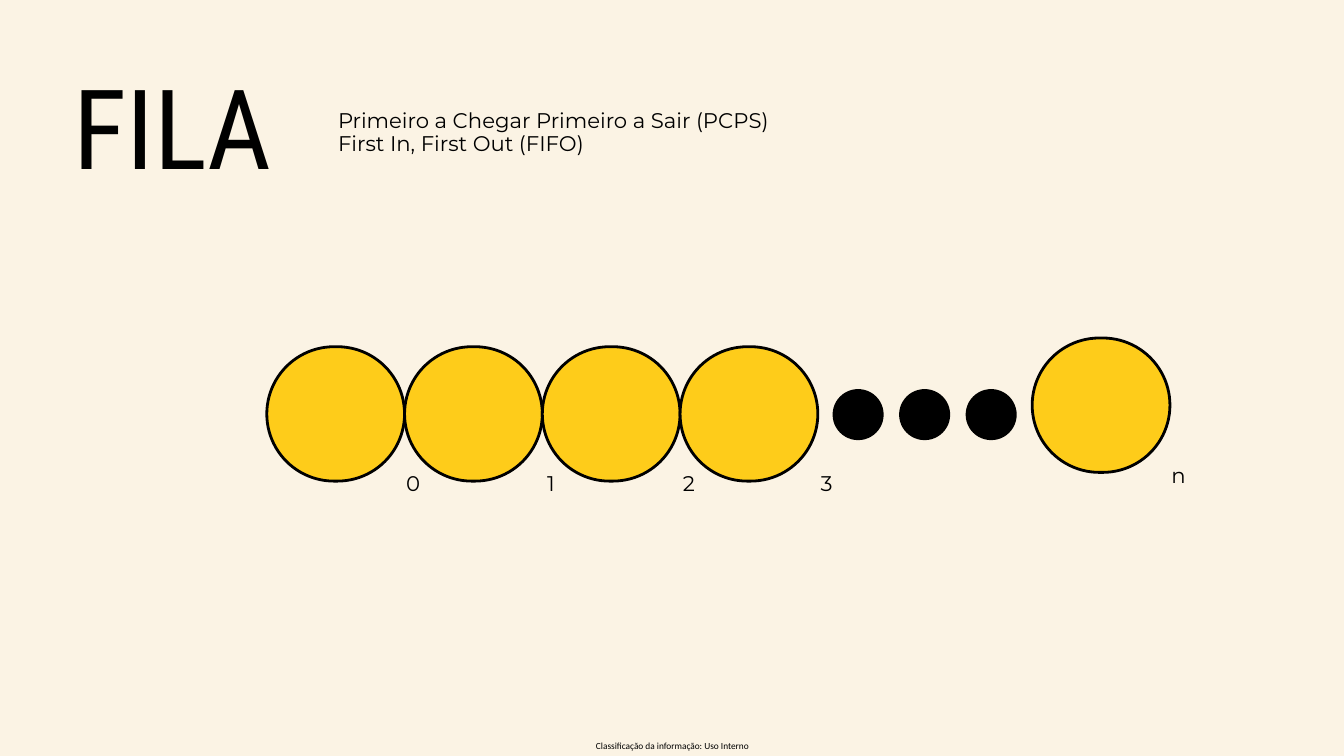
from pptx import Presentation
from pptx.dml.color import RGBColor
from pptx.enum.shapes import MSO_SHAPE
from pptx.enum.text import MSO_ANCHOR, MSO_AUTO_SIZE, PP_ALIGN
from pptx.util import Inches, Pt

# Content
TITLE = "FILA"
DEFINITIONS = ["Primeiro a Chegar Primeiro a Sair (PCPS)", "First In, First Out (FIFO)"]
FIRST_NODES = ["0", "1", "2", "3"]
LAST_NODE = "n"
DOT_COUNT = 3
FOOTER = "Classificação da informação: Uso Interno"

# Theme
BLACK = RGBColor(0, 0, 0)
THEME = {
    "background": RGBColor(0xFB, 0xF3, 0xE4),
    "node": RGBColor(0xFE, 0xCC, 0x1A),
    "outline": Pt(3),
    "title": {"name": "Roboto Condensed", "size": Pt(118.8), "bold": False},
    "body": {"name": "Montserrat", "size": Pt(22.7)},
    "footer": {"name": "Calibri", "size": Pt(10)},
}
BODY_SPACING = Pt(34.1)

# Layout in inches
NODE_LEFT, NODE_TOP, NODE_WIDTH, NODE_HEIGHT = 3.97, 5.16, 2.05, 2
LAST_LEFT, LAST_TOP = 15.36, 5.03
LABEL_WIDTH, LABEL_HEIGHT, LABEL_RISE = 4.36, 4.77, 0.4
DOT_LEFT, DOT_TOP, DOT_SIZE, DOT_PITCH = 12.39, 5.79, 0.76, 0.99
DEFINITION_TOP, DEFINITION_PITCH = 1.5, 0.35


def write(box, text, style, align=PP_ALIGN.LEFT, spacing=None,
          anchor=MSO_ANCHOR.TOP, margin=0.0, fit=MSO_AUTO_SIZE.SHAPE_TO_FIT_TEXT):
    frame = box.text_frame
    frame_format = {"word_wrap": True, "auto_size": fit, "vertical_anchor": anchor}
    for side in ("left", "right", "top", "bottom"):
        frame_format[f"margin_{side}"] = Inches(margin)
    for name, value in frame_format.items():
        setattr(frame, name, value)
    para = frame.paragraphs[0]
    para.alignment = align
    para.space_before = Pt(0)
    if spacing:
        para.line_spacing = spacing
    span = para.add_run()
    span.text = text
    for name, value in THEME[style].items():
        setattr(span.font, name, value)
    span.font.color.rgb = BLACK


def add_solid(shapes, kind, place, color):
    shape = shapes.add_shape(kind, *map(Inches, place))
    shape.shadow.inherit = False
    shape.fill.solid()
    shape.fill.fore_color.rgb = color
    return shape


def add_node(page, label, left, top):
    group = page.shapes.add_group_shape()
    node = add_solid(group.shapes, MSO_SHAPE.ROUNDED_RECTANGLE,
                     (left, top, NODE_WIDTH, NODE_HEIGHT), THEME["node"])
    node.adjustments[0] = 0.5
    node.line.color.rgb = BLACK
    node.line.width = THEME["outline"]
    place = (left, top - LABEL_RISE, LABEL_WIDTH, LABEL_HEIGHT)
    box = group.shapes.add_textbox(*map(Inches, place))
    write(box, label, "body", PP_ALIGN.CENTER, BODY_SPACING,
          MSO_ANCHOR.MIDDLE, 0.06, MSO_AUTO_SIZE.NONE)


def main():
    deck = Presentation()
    deck.slide_width, deck.slide_height = Inches(20), Inches(11.25)
    page = deck.slides.add_slide(deck.slide_layouts[5])
    page.background.fill.solid()
    page.background.fill.fore_color.rgb = THEME["background"]

    # Footer
    box = page.shapes.add_textbox(*map(Inches, (8.68, 10.96, 2.65, 0.29)))
    write(box, FOOTER, "footer", PP_ALIGN.CENTER, anchor=MSO_ANCHOR.MIDDLE)

    # Queue: touching nodes, dots for the gap, last node
    for index, label in enumerate(FIRST_NODES):
        add_node(page, label, NODE_LEFT + index * NODE_WIDTH, NODE_TOP)
    for index in range(DOT_COUNT):
        place = (DOT_LEFT + index * DOT_PITCH, DOT_TOP, DOT_SIZE, DOT_SIZE)
        dot = add_solid(page.shapes, MSO_SHAPE.OVAL, place, BLACK)
        dot.line.fill.background()
    add_node(page, LAST_NODE, LAST_LEFT, LAST_TOP)

    # Title and definitions
    title = page.shapes.title
    title.left, title.top, title.width, title.height = map(Inches, (1.09, 1.2, 8.33, 1.75))
    write(title, TITLE, "title", spacing=THEME["title"]["size"])
    for index, text in enumerate(DEFINITIONS):
        place = (5.03, DEFINITION_TOP + index * DEFINITION_PITCH, 7.99, 0.46)
        box = page.shapes.add_textbox(*map(Inches, place))
        write(box, text, "body", spacing=BODY_SPACING)

    deck.save("out.pptx")


if __name__ == "__main__":
    main()
